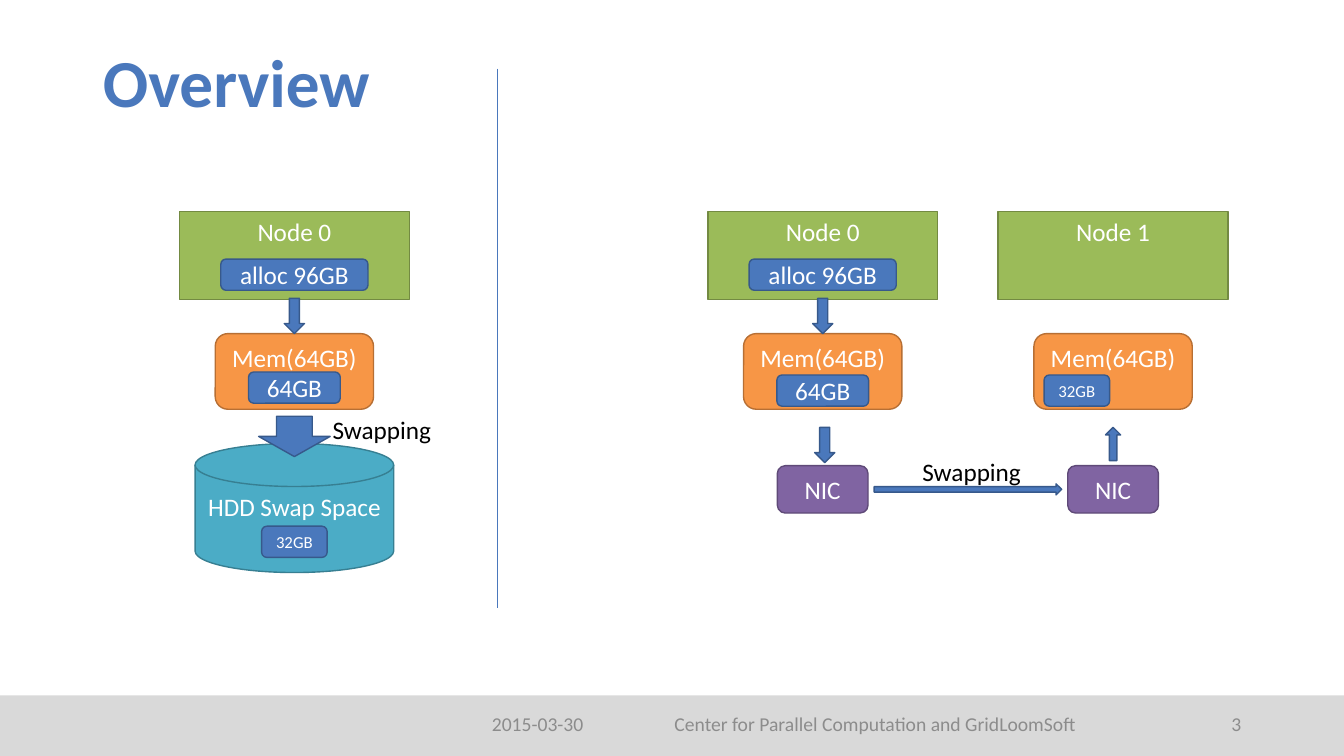
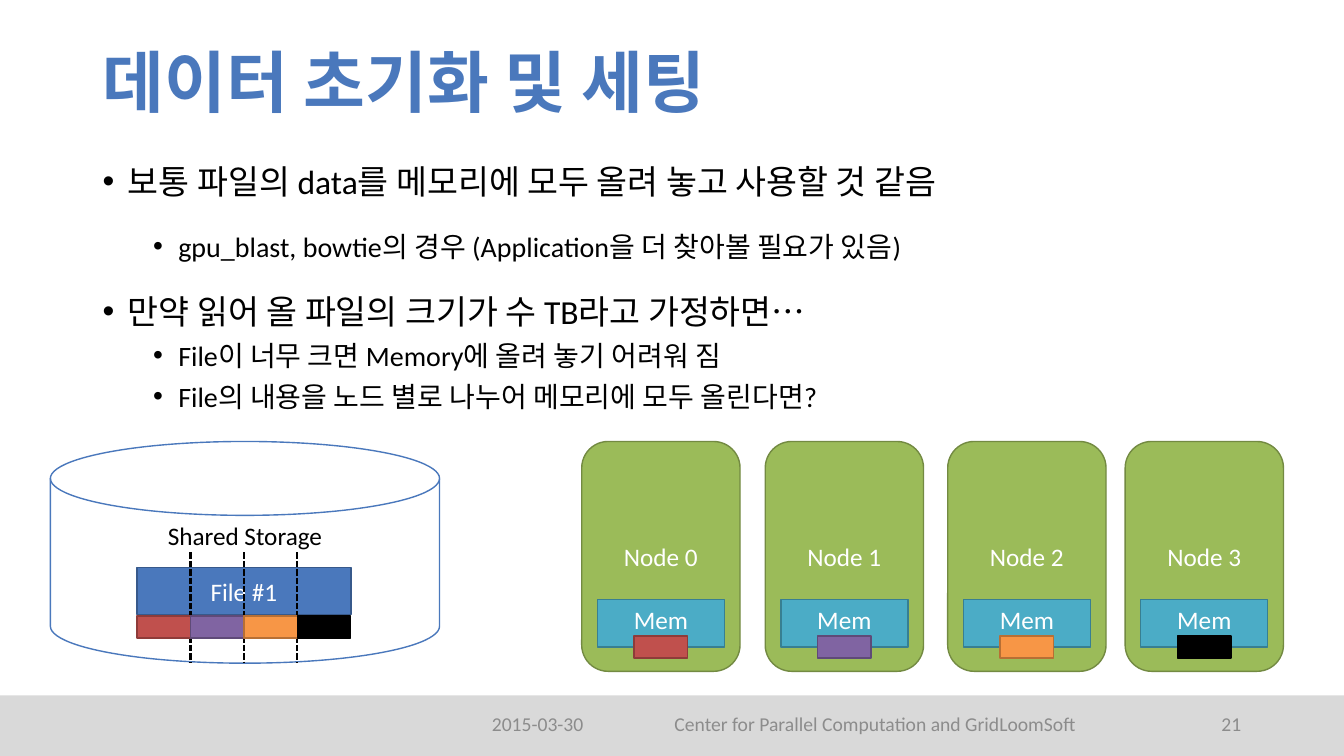
from lxml import etree
from pptx import Presentation
from pptx import util as u
from pptx.dml.color import RGBColor
from pptx.enum import dml, shapes, text
from pptx.oxml.ns import qn

FONT = "Calibri"
BLUE, WHITE, BLACK = "4A78BC", "FFFFFF", "000000"
GREY, BAND = "8C8C8C", "D9D9D9"
BLUE_BOX = (BLUE, "37598B")
GREEN_BOX = ("9BBB59", "738A42")
ORANGE_BOX = ("F79646", "B76F34")
TEAL_BOX = ("4BACC6", "377F92")
PURPLE_BOX = ("8064A2", "5F4A78")
RED_BOX = ("C0504D", "8E3B39")
BLACK_BOX = (BLACK, BLACK)

KIND = shapes.MSO_SHAPE
TOP, MIDDLE = text.MSO_ANCHOR.TOP, text.MSO_ANCHOR.MIDDLE
LEFT, CENTER, RIGHT = text.PP_ALIGN.LEFT, text.PP_ALIGN.CENTER, text.PP_ALIGN.RIGHT


def rgb(hex_code):
    return RGBColor.from_string(hex_code)


def inches(*lengths):
    return [u.Inches(length) for length in lengths]


def format_paragraph(paragraph, size, color, align=LEFT, bold=False):
    paragraph.alignment = align
    for run in paragraph.runs:
        run.font.name = FONT
        run.font.size = u.Pt(size)
        run.font.bold = bold
        run.font.color.rgb = rgb(color)


def add_box(slide, kind, at, colors, label="", size=18, anchor=MIDDLE, color=WHITE):
    fill, outline = colors
    box = slide.shapes.add_shape(kind, *inches(*at))
    box.shadow.inherit = False
    box.fill.solid()
    box.fill.fore_color.rgb = rgb(fill)
    box.line.color.rgb = rgb(outline)
    box.line.width = u.Pt(1)
    if label:
        frame = box.text_frame
        frame.text = label
        frame.vertical_anchor = anchor
        format_paragraph(frame.paragraphs[0], size, color, CENTER)
    return box


def add_centered(slide, kind, center, top, width, height, colors, label="", **style):
    at = (center - width / 2, top, width, height)
    return add_box(slide, kind, at, colors, label, **style)


def add_label(slide, at, label, size=18, color=BLACK, align=LEFT, anchor=TOP):
    frame = slide.shapes.add_textbox(*inches(*at)).text_frame
    frame.word_wrap = True
    frame.vertical_anchor = anchor
    frame.text = label
    format_paragraph(frame.paragraphs[0], size, color, align)


def add_rule(slide, x, top, bottom, color, width, dash=None):
    rule = slide.shapes.add_connector(
        shapes.MSO_CONNECTOR.STRAIGHT, *inches(x, top, x, bottom))
    rule.line.color.rgb = rgb(color)
    rule.line.width = u.Pt(width)
    if dash:
        rule.line.dash_style = dash
    etree.SubElement(rule._element.spPr, qn("a:effectLst"))


def add_bullets(slide, at, items):
    frame = slide.shapes.add_textbox(*inches(*at)).text_frame
    frame.word_wrap = True
    for index, (level, space, line) in enumerate(items):
        paragraph = frame.add_paragraph() if index else frame.paragraphs[0]
        paragraph.text = line
        paragraph.level = level
        paragraph.space_before = u.Pt(space)
        format_paragraph(paragraph, 20 if level else 24, BLACK)
        properties = paragraph._p.get_or_add_pPr()
        properties.set("marL", str(u.Inches(0.25 + 0.5 * level)))
        properties.set("indent", str(u.Inches(-0.25)))
        etree.SubElement(properties, qn("a:buFont")).set("typeface", "Arial")
        etree.SubElement(properties, qn("a:buChar")).set("char", "•")


def add_titled_slide(deck, heading, number):
    slide = deck.slides.add_slide(deck.slide_layouts[5])
    band = add_box(slide, KIND.RECTANGLE, (0, 6.9, 13.33, 0.6), (BAND, BAND))
    band.line.fill.background()
    title = slide.shapes.title
    title.left, title.top, title.width, title.height = inches(0.92, 0.36, 11.5, 0.99)
    frame = title.text_frame
    frame.text = heading
    frame.auto_size = text.MSO_AUTO_SIZE.NONE
    frame.vertical_anchor = MIDDLE
    frame.paragraphs[0].line_spacing = 0.9
    format_paragraph(frame.paragraphs[0], 48, BLUE, bold=True)
    footers = [
        (4.78, 1.73, "2015-03-30", LEFT),
        (6.59, 4.65, "Center for Parallel Computation and GridLoomSoft", LEFT),
        (11.31, 1.1, str(number), RIGHT),
    ]
    for left, width, label, align in footers:
        add_label(slide, (left, 6.98, width, 0.4), label, 14, GREY, align, MIDDLE)
    return slide


def add_node_and_memory(slide, center, name):
    add_centered(slide, KIND.RECTANGLE, center, 2.1, 2.28, 0.87,
                 GREEN_BOX, name, anchor=TOP)
    add_centered(slide, KIND.ROUNDED_RECTANGLE, center, 3.31, 1.57, 0.75,
                 ORANGE_BOX, "Mem(64GB)", anchor=TOP)


def add_allocation(slide, center, used_top):
    add_centered(slide, KIND.DOWN_ARROW, center, 2.96, 0.2, 0.35, BLUE_BOX)
    add_centered(slide, KIND.ROUNDED_RECTANGLE, center, 2.57, 1.46, 0.31,
                 BLUE_BOX, "alloc 96GB")
    add_centered(slide, KIND.ROUNDED_RECTANGLE, center, used_top, 0.91, 0.31,
                 BLUE_BOX, "64GB")


def add_swapped(slide, center, top):
    add_centered(slide, KIND.ROUNDED_RECTANGLE, center, top, 0.65, 0.31,
                 BLUE_BOX, "32GB", size=12)


def build_overview(deck):
    slide = add_titled_slide(deck, "Overview", 3)
    local, sender, receiver = 2.92, 8.16, 11.04
    add_rule(slide, 4.93, 0.68, 6.03, BLUE, 0.5)

    add_node_and_memory(slide, local, "Node 0")
    add_allocation(slide, local, 3.69)
    add_centered(slide, KIND.FLOWCHART_MAGNETIC_DISK, local, 4.4, 1.97, 1.28,
                 TEAL_BOX, "HDD Swap Space", anchor=TOP)
    add_centered(slide, KIND.DOWN_ARROW, local, 4.13, 0.71, 0.4, BLUE_BOX)
    add_label(slide, (3.2, 4.06, 1.29, 0.4), "Swapping")
    add_swapped(slide, local, 5.22)

    for center, name in ((sender, "Node 0"), (receiver, "Node 1")):
        add_node_and_memory(slide, center, name)
        add_centered(slide, KIND.ROUNDED_RECTANGLE, center, 4.62, 0.9, 0.47,
                     PURPLE_BOX, "NIC")
    add_allocation(slide, sender, 3.72)
    add_centered(slide, KIND.DOWN_ARROW, sender + 0.02, 4.24, 0.2, 0.35, BLUE_BOX)
    add_centered(slide, KIND.UP_ARROW, receiver, 4.24, 0.15, 0.33, BLUE_BOX)
    add_box(slide, KIND.RIGHT_ARROW, (8.67, 4.8, 1.86, 0.11), BLUE_BOX)
    add_label(slide, (9.05, 4.48, 1.27, 0.4), "Swapping")
    add_swapped(slide, 10.68, 3.72)


def build_data_setup(deck):
    slide = add_titled_slide(deck, "데이터 초기화 및 세팅", 21)
    add_box(slide, KIND.FLOWCHART_MAGNETIC_DISK, (0.5, 4.38, 3.86, 2.2),
            (WHITE, BLUE), "Shared Storage", anchor=TOP, color=BLACK)
    add_bullets(slide, (0.92, 1.55, 11.5, 5.04), [
        (0, 20, "보통 파일의 data를 메모리에 모두 올려 놓고 사용할 것 같음"),
        (1, 20, "gpu_blast, bowtie의 경우 (Application을 더 찾아볼 필요가 있음)"),
        (0, 20, "만약 읽어 올 파일의 크기가 수 TB라고 가정하면…"),
        (1, 5, "File이 너무 크면 Memory에 올려 놓기 어려워 짐"),
        (1, 5, "File의 내용을 노드 별로 나누어 메모리에 모두 올린다면?"),
    ])

    file_left, part_width, part_height = 1.36, 0.53, 0.22
    parts = (RED_BOX, PURPLE_BOX, ORANGE_BOX, BLACK_BOX)
    node_lefts = (5.77, 7.59, 9.4, 11.16)
    add_box(slide, KIND.RECTANGLE, (file_left, 5.63, part_width * len(parts), 0.47),
            BLUE_BOX, "File #1")
    for cut in range(1, len(parts)):
        add_rule(slide, file_left + part_width * cut, 5.48, 6.57, BLACK, 1.5,
                 dml.MSO_LINE.SQUARE_DOT)
    for index, (part, node_left) in enumerate(zip(parts, node_lefts)):
        add_box(slide, KIND.RECTANGLE,
                (file_left + part_width * index, 6.11, part_width, part_height), part)
        add_box(slide, KIND.ROUNDED_RECTANGLE, (node_left, 4.38, 1.57, 2.28),
                GREEN_BOX, f"Node {index}")
        center = node_left + 1.57 / 2
        add_centered(slide, KIND.RECTANGLE, center, 5.95, 1.26, 0.47,
                     TEAL_BOX, "Mem", anchor=TOP)
        add_centered(slide, KIND.RECTANGLE, center, 6.31, part_width, part_height, part)


def main():
    deck = Presentation()
    deck.slide_width, deck.slide_height = inches(13.33, 7.5)
    build_overview(deck)
    build_data_setup(deck)
    deck.save("out.pptx")


if __name__ == "__main__":
    main()
